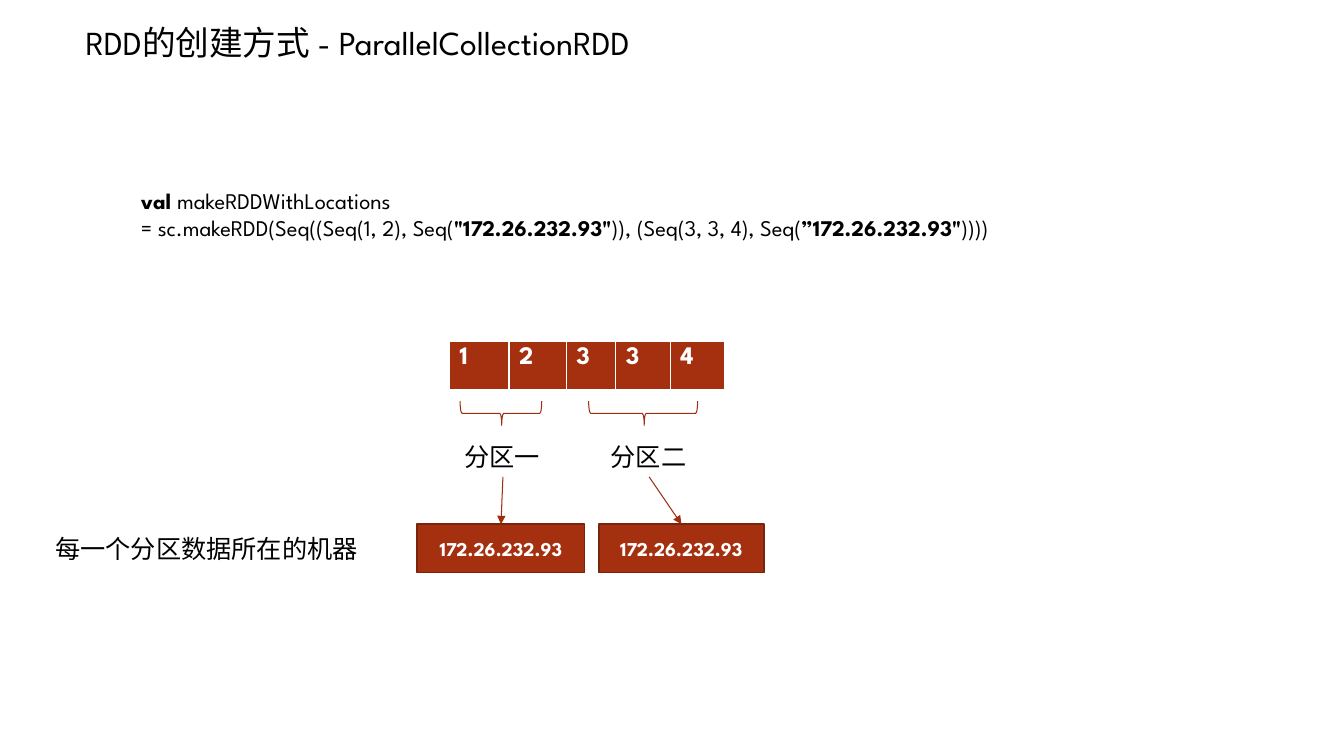
import pptx
import pptx.dml.color
import pptx.enum.shapes
import pptx.enum.text
import pptx.oxml
import pptx.oxml.ns
import pptx.util

Pt = pptx.util.Pt
MSO_SHAPE = pptx.enum.shapes.MSO_SHAPE
FONT = "League Spartan"
BLACK, WHITE = "000000", "FFFFFF"
RUST, RUST_LINE, RUST_EDGE = "A53010", "9E2E0F", "7A240C"
NAMESPACE = pptx.oxml.ns.nsdecls("a")
HOST = "172.26.232.93"


def color(hex_string):
    return pptx.dml.color.RGBColor.from_string(hex_string)


def write(frame, text, size=18, fill=BLACK, bold=False, align=None):
    """Fill a text frame; newlines split paragraphs and | toggles bold."""
    for index, line in enumerate(text.split("\n")):
        paragraph = frame.paragraphs[0] if index == 0 else frame.add_paragraph()
        paragraph.alignment = align
        for position, part in enumerate(line.split("|")):
            if part:
                run = paragraph.add_run()
                run.text = part
                run.font.name = FONT
                run.font.size = Pt(size)
                run.font.bold = bold or position % 2 == 1
                run.font.color.rgb = color(fill)


presentation = pptx.Presentation()
presentation.slide_width = Pt(960)
presentation.slide_height = Pt(540)
slide = presentation.slides.add_slide(presentation.slide_layouts[6])
shapes = slide.shapes

# Title, code, partition labels and row label
code = (
    "|val |makeRDDWithLocations\n"
    f'= sc.makeRDD(Seq((Seq(1, 2), Seq(|"{HOST}"|)), (Seq(3, 3, 4), Seq(|”{HOST}"|))))'
)
text_boxes = []
for text, size, left, top, width, height in [
    ("RDD的创建方式 - ParallelCollectionRDD", 24, 54, 12.2, 464.4, 36),
    (code, 16, 93.6, 130.3, 722.2, 46),
    ("每一个分区数据所在的机器", 18, 32.4, 377.3, 232.6, 28.8),
    ("分区一", 18, 324.7, 311.8, 69.1, 28.8),
    ("分区二", 18, 429.1, 311.8, 69.1, 28.8),
]:
    text_box = shapes.add_textbox(Pt(left), Pt(top), Pt(width), Pt(height))
    text_box.text_frame.word_wrap = False
    text_box.text_frame.auto_size = pptx.enum.text.MSO_AUTO_SIZE.SHAPE_TO_FIT_TEXT
    write(text_box.text_frame, text, size=size)
    text_boxes.append(text_box)
partition_labels = text_boxes[-2:]

# Collection elements
elements = [("1", 42.5), ("2", 41), ("3", 35.3), ("3", 38.9), ("4", 38.9)]
table = shapes.add_table(
    1, len(elements), Pt(321.1), Pt(244.1), Pt(196.6), Pt(35.3)
).table
table.rows[0].height = Pt(35.3)
for column, (value, width) in enumerate(elements):
    table.columns[column].width = Pt(width)
    cell = table.cell(0, column)
    write(cell.text_frame, value, fill=WHITE, bold=True)
    cell.fill.solid()
    cell.fill.fore_color.rgb = color(RUST)
    properties = cell._tc.get_or_add_tcPr()
    for index, (side, weight) in enumerate([("L", 1), ("R", 1), ("T", 1), ("B", 3)]):
        border = pptx.oxml.parse_xml(
            f'<a:ln{side} {NAMESPACE} w="{Pt(weight)}"><a:solidFill>'
            f'<a:srgbClr val="{WHITE}"/></a:solidFill></a:ln{side}>'
        )
        properties.insert(index, border)

# Each partition: brace, label, arrow and host
BRACE_DEPTH, BRACE_CENTER_Y = 17.3, 295.2
for label, brace_center, brace_span, host_left, host_width in [
    (partition_labels[0], 357.8, 58.3, 298.1, 119.5),
    (partition_labels[1], 459.4, 77.8, 427.7, 118.1),
]:
    brace = shapes.add_shape(
        MSO_SHAPE.LEFT_BRACE,
        Pt(brace_center - BRACE_DEPTH / 2), Pt(BRACE_CENTER_Y - brace_span / 2),
        Pt(BRACE_DEPTH), Pt(brace_span),
    )
    brace.rotation = 270
    brace.adjustments[0] = 0.08
    brace.adjustments[1] = 0.51
    brace.fill.background()
    brace.line.color.rgb = color(RUST_LINE)
    brace.line.width = Pt(0.75)
    brace.shadow.inherit = False

    host = shapes.add_shape(
        MSO_SHAPE.RECTANGLE, Pt(host_left), Pt(374.4), Pt(host_width), Pt(34.6)
    )
    host.fill.solid()
    host.fill.fore_color.rgb = color(RUST)
    host.line.color.rgb = color(RUST_EDGE)
    host.line.width = Pt(1.25)
    host.shadow.inherit = False
    host.text_frame.vertical_anchor = pptx.enum.text.MSO_ANCHOR.MIDDLE
    write(host.text_frame, HOST, size=14, fill=WHITE, bold=True,
          align=pptx.enum.text.PP_ALIGN.CENTER)

    arrow = shapes.add_connector(
        pptx.enum.shapes.MSO_CONNECTOR.STRAIGHT, Pt(0), Pt(0), Pt(0), Pt(0)
    )
    arrow.begin_connect(label, 2)
    arrow.end_connect(host, 0)
    arrow.line.color.rgb = color(RUST_LINE)
    arrow.line.width = Pt(0.75)
    arrow.line._get_or_add_ln().append(
        pptx.oxml.parse_xml(f'<a:tailEnd {NAMESPACE} type="triangle"/>')
    )
    arrow._element.spPr.append(pptx.oxml.parse_xml(f"<a:effectLst {NAMESPACE}/>"))

presentation.save("out.pptx")
